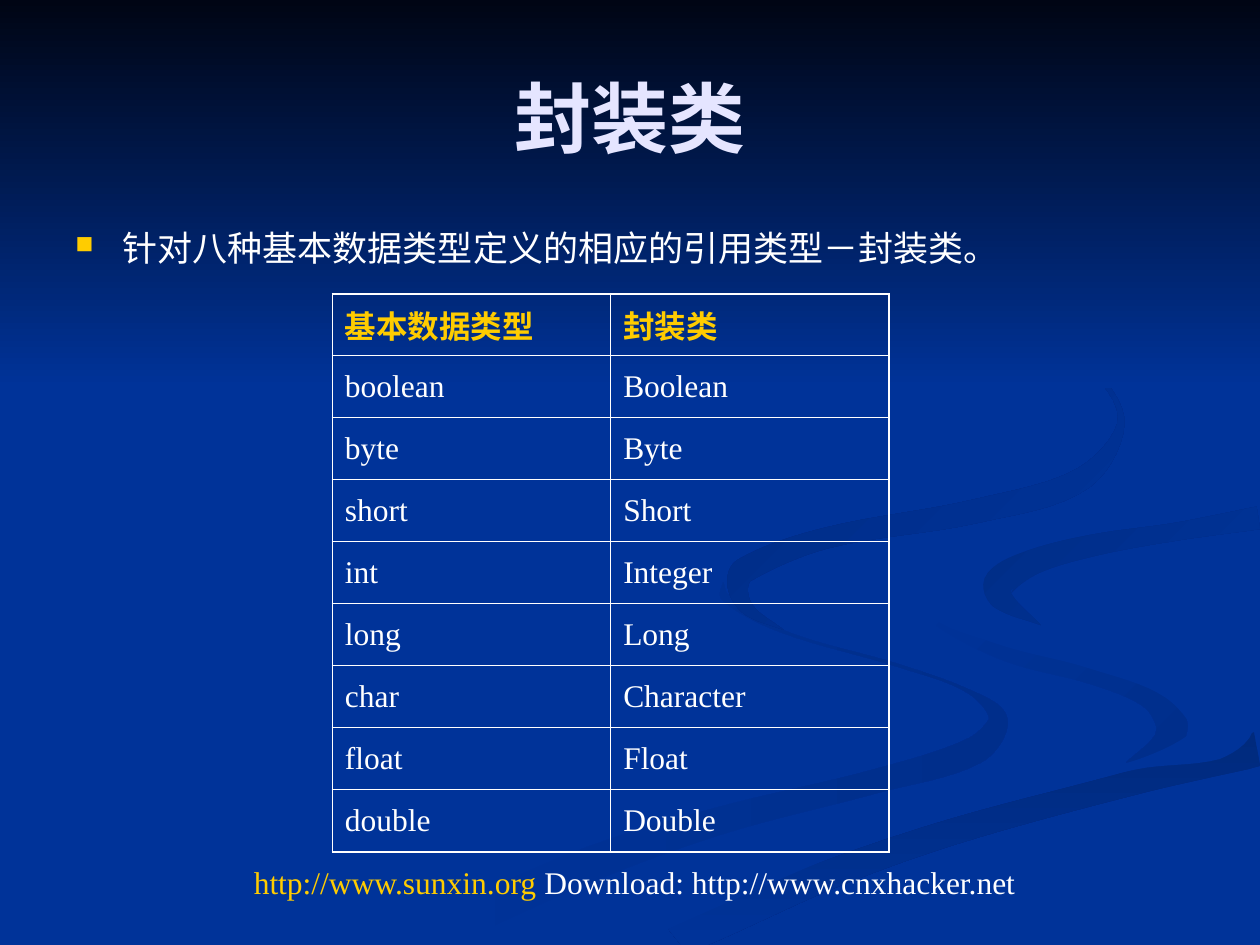
from collections import namedtuple
from math import dist

from lxml import etree
from pptx import Presentation
from pptx.dml.color import RGBColor
from pptx.enum import shapes, text
from pptx.oxml.ns import qn
from pptx.util import Cm, Pt

WIDTH, HEIGHT = 25.4, 19.05
FONT = "Times New Roman"
COLOURS = {
    "blue": "003399", "night": "000514", "lavender": "E5E5FF",
    "gold": "FFCC00", "white": "FFFFFF", "lower": "002E8B",
    "edge": "002A7D", "right": "002D86", "upper": "002B82",
}

Ribbon = namedtuple("Ribbon", "start end angle stations")
RIBBONS = {
    "lower": Ribbon("blue", "lower", 0, [
        (14.58, 11.73, 0), (14.62, 12.04, 0.17), (15.75, 12.72, 0.06),
        (18.15, 13.43, 0.06), (19.55, 13.95, 0.08), (20.12, 14.5, 0.38),
        (19.65, 15.13, 0.55), (17.65, 15.75, 0.48), (14.5, 16.55, 0.55),
        (11.7, 17.5, 0.7), (8.4, 19, 0.7)]),
    "middle": Ribbon("blue", "lower", 45, [
        (18.39, 11.79, 0), (18.6, 12.35, 0.08), (20.2, 13.13, 0.33),
        (22.1, 13.64, 0.36), (23.2, 14.07, 0.46), (23.62, 14.6, 0.63),
        (23.45, 15, 0.5), (22.7, 15.37, 0)]),
    "edge": Ribbon("edge", "blue", 90, [
        (25.37, 15.1, 0.7), (22.95, 15.75, 0.5), (19.3, 16.74, 0.52),
        (16.8, 17.6, 0.58), (14.45, 18.6, 0.68), (13.6, 19, 0.6)]),
    "cover": Ribbon("blue", "blue", 0, [
        (25.37, 10.02, 0.38), (22, 10.53, 0.3), (19.7, 11.1, 0.5),
        (19.1, 11.75, 1.4), (20.2, 12.7, 0.6), (22, 13.2, 0.55),
        (23.65, 13.75, 0.7), (24.65, 14.48, 1.3), (24.4, 14.95, 0.8),
        (22.9, 15.42, 0.18), (19.8, 16.2, 0.2), (16.85, 17.1, 0.3),
        (14.55, 18.05, 0.36), (12.6, 18.9, 0.4)]),
    "right": Ribbon("right", "blue", 45, [
        (25.37, 10.44, 0.46), (23.7, 10.72, 0.36), (22.1, 10.98, 0.43),
        (20.85, 11.32, 0.5), (20.15, 11.75, 0.62), (20.2, 12.08, 0.45),
        (20.98, 12.6, 0)]),
    "upper": Ribbon("upper", "blue", 45, [
        (19.35, 5.92, 0), (21.6, 7.1, 0.1), (22.6, 8.4, 0.12),
        (21.85, 9.63, 0.45), (19.7, 10.3, 0.48), (16.65, 10.85, 0.42),
        (15, 11.5, 0.5), (14.88, 11.87, 0.4), (15.1, 12.3, 0.24),
        (15.8, 12.7, 0)]),
}
PRIMITIVES = ["boolean", "byte", "short", "int", "long", "char", "float", "double"]
LONG_NAMES = {"int": "Integer", "char": "Character"}
WRAPPERS = [("基本数据类型", "封装类")] + [
    (name, LONG_NAMES.get(name, name.capitalize())) for name in PRIMITIVES]


def rgb(name):
    return RGBColor.from_string(COLOURS[name])


def smooth(stations, steps=8):
    gaps = [dist(a[:2], b[:2]) for a, b in zip(stations, stations[1:])]
    last = len(gaps)
    slopes = []
    for i in range(last + 1):
        before, after = max(i - 1, 0), min(i + 1, last)
        span = sum(gaps[before:after])
        slopes.append([(b - a) / span
                       for a, b in zip(stations[before], stations[after])])
    curve = []
    for i, gap in enumerate(gaps):
        for step in range(steps):
            t = step / steps
            curve.append([
                (1 + 2 * t) * (1 - t) ** 2 * a + t * t * (3 - 2 * t) * b
                + gap * t * (1 - t) * ((1 - t) * slope_a - t * slope_b)
                for a, b, slope_a, slope_b in zip(
                    stations[i], stations[i + 1], slopes[i], slopes[i + 1])])
    return curve + [stations[-1]]


def ribbon_outline(stations):
    curve = smooth(stations)
    sides = [], []
    for i, (x, y, thickness) in enumerate(curve):
        behind, ahead = curve[max(i - 1, 0)], curve[min(i + 1, len(curve) - 1)]
        length = dist(behind[:2], ahead[:2])
        across = (behind[1] - ahead[1]) / length, (ahead[0] - behind[0]) / length
        half = max(thickness, 0) / 2
        for side, offset in zip(sides, (half, -half)):
            side.append((min(x + offset * across[0], WIDTH),
                         min(y + offset * across[1], HEIGHT)))
    return sides[0] + sides[1][::-1]


def write(paragraph, words, size=18, colour="white", bold=False, align=None):
    run = paragraph.add_run()
    run.text = words
    run.font.name = FONT
    run.font.size = Pt(size)
    run.font.bold = bold
    run.font.color.rgb = rgb(colour)
    if align is not None:
        paragraph.alignment = align


class Deck:
    def __init__(self):
        self.show = Presentation()
        self.show.slide_width, self.show.slide_height = Cm(WIDTH), Cm(HEIGHT)
        self.slide = self.show.slides.add_slide(self.show.slide_layouts[6])
        backdrop = self.slide.background.fill
        backdrop.solid()
        backdrop.fore_color.rgb = rgb("blue")

    def paint(self, shape, start, end, angle):
        shape.shadow.inherit = False
        shape.line.fill.background()
        if start == end:
            shape.fill.solid()
            shape.fill.fore_color.rgb = rgb(start)
            return
        shape.fill.gradient()
        shape.fill.gradient_angle = -angle % 360
        for stop, colour in zip(shape.fill.gradient_stops, (start, end)):
            stop.color.rgb = rgb(colour)

    def ribbon(self, ribbon):
        first, *others = [(Cm(x), Cm(y)) for x, y in ribbon_outline(ribbon.stations)]
        builder = self.slide.shapes.build_freeform(*first)
        builder.add_line_segments(others, close=True)
        self.paint(builder.convert_to_shape(), ribbon.start, ribbon.end, ribbon.angle)

    def sky(self, height):
        band = self.slide.shapes.add_shape(
            shapes.MSO_SHAPE.RECTANGLE, 0, 0, Cm(WIDTH), Cm(height))
        self.paint(band, "night", "blue", 90)

    def textbox(self, left, top, width, height, anchor=text.MSO_ANCHOR.TOP):
        frame = self.slide.shapes.add_textbox(
            Cm(left), Cm(top), Cm(width), Cm(height)).text_frame
        frame.word_wrap = True
        frame.vertical_anchor = anchor
        return frame.paragraphs[0]

    def bullet(self, paragraph, hanging):
        props = paragraph._p.get_or_add_pPr()
        props.set("marL", str(Cm(hanging)))
        props.set("indent", str(-Cm(hanging)))
        colour = etree.SubElement(props, qn("a:buClr"))
        etree.SubElement(colour, qn("a:srgbClr"), val=COLOURS["gold"])
        etree.SubElement(props, qn("a:buSzPct"), val="70000")
        etree.SubElement(props, qn("a:buChar"), char="■")

    def border(self, cell, side, points):
        line = etree.SubElement(
            cell._tc.get_or_add_tcPr(), qn(f"a:ln{side}"), w=str(Pt(points)))
        fill = etree.SubElement(line, qn("a:solidFill"))
        etree.SubElement(fill, qn("a:srgbClr"), val=COLOURS["white"])

    def table(self, rows, left, top, column_width, row_height):
        last_row, last_column = len(rows) - 1, len(rows[0]) - 1
        grid = self.slide.shapes.add_table(
            len(rows), len(rows[0]), Cm(left), Cm(top),
            Cm(column_width * len(rows[0])), Cm(row_height * len(rows))).table
        grid.first_row = grid.horz_banding = False
        for r, words in enumerate(rows):
            for c, word in enumerate(words):
                cell = grid.cell(r, c)
                cell.vertical_anchor = text.MSO_ANCHOR.MIDDLE
                outer = {"L": c == 0, "R": c == last_column,
                         "T": r == 0, "B": r == last_row}
                for side, is_outer in outer.items():
                    self.border(cell, side, 1.08 if is_outer else 0.45)
                cell.fill.background()
                write(cell.text_frame.paragraphs[0], word, bold=r == 0,
                      colour="gold" if r == 0 else "white")


def main():
    deck = Deck()
    for ribbon in RIBBONS.values():
        deck.ribbon(ribbon)
    deck.sky(7.82)
    centre = text.PP_ALIGN.CENTER
    title = deck.textbox(1.27, 0.76, 22.86, 3.18, text.MSO_ANCHOR.MIDDLE)
    write(title, "封装类", size=44, colour="lavender", bold=True, align=centre)
    summary = deck.textbox(1.27, 4.45, 23.24, 1.47)
    deck.bullet(summary, 0.95)
    write(summary, "针对八种基本数据类型定义的相应的引用类型－封装类。", size=20)
    deck.table(WRAPPERS, 6.7, 5.92, 5.61, 1.25)
    links = deck.textbox(4.5, 17.27, 16.59, 1.78)
    write(links, "http://www.sunxin.org", colour="gold", align=centre)
    write(links, " Download: http://www.cnxhacker.net")
    deck.show.save("out.pptx")


if __name__ == "__main__":
    main()
